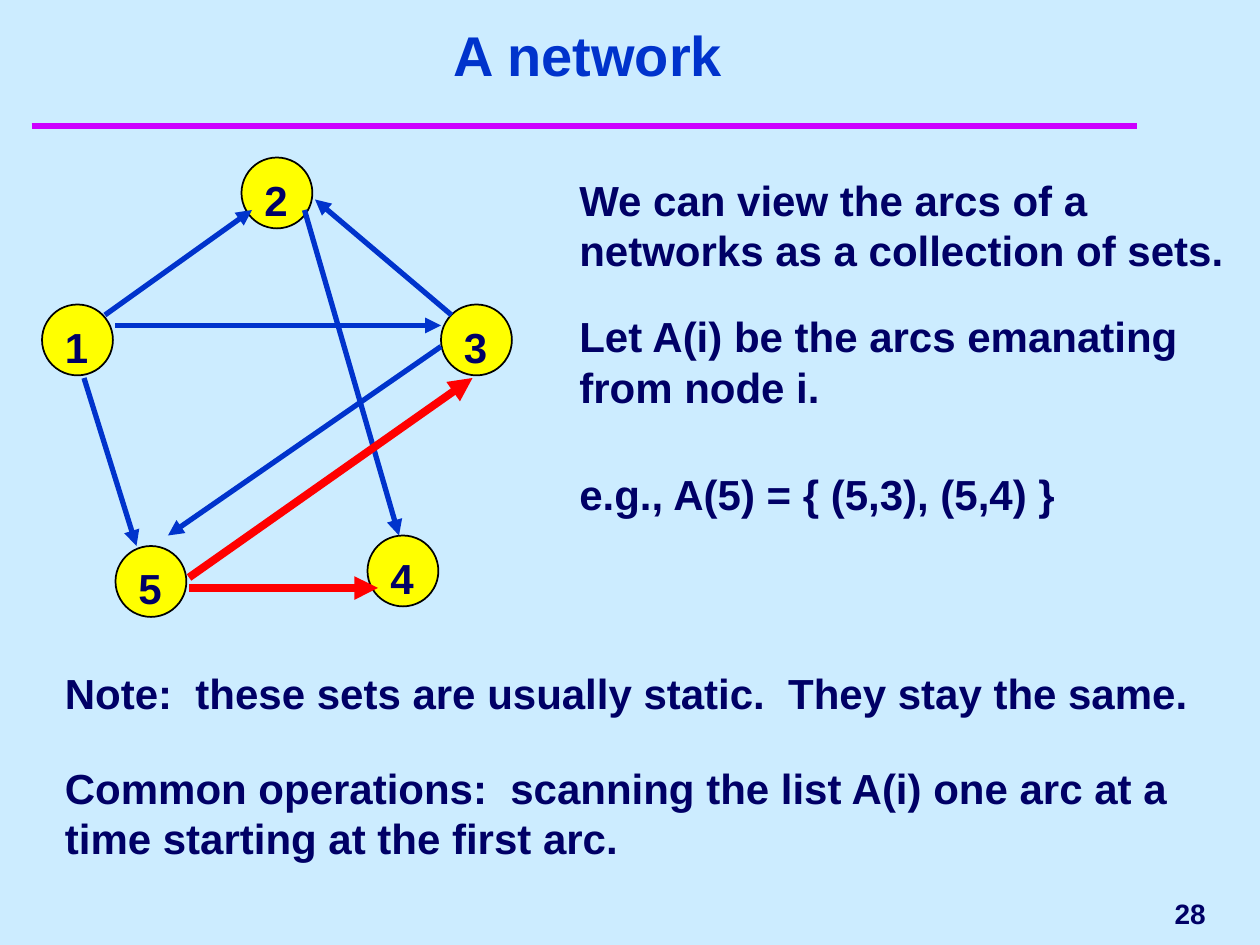
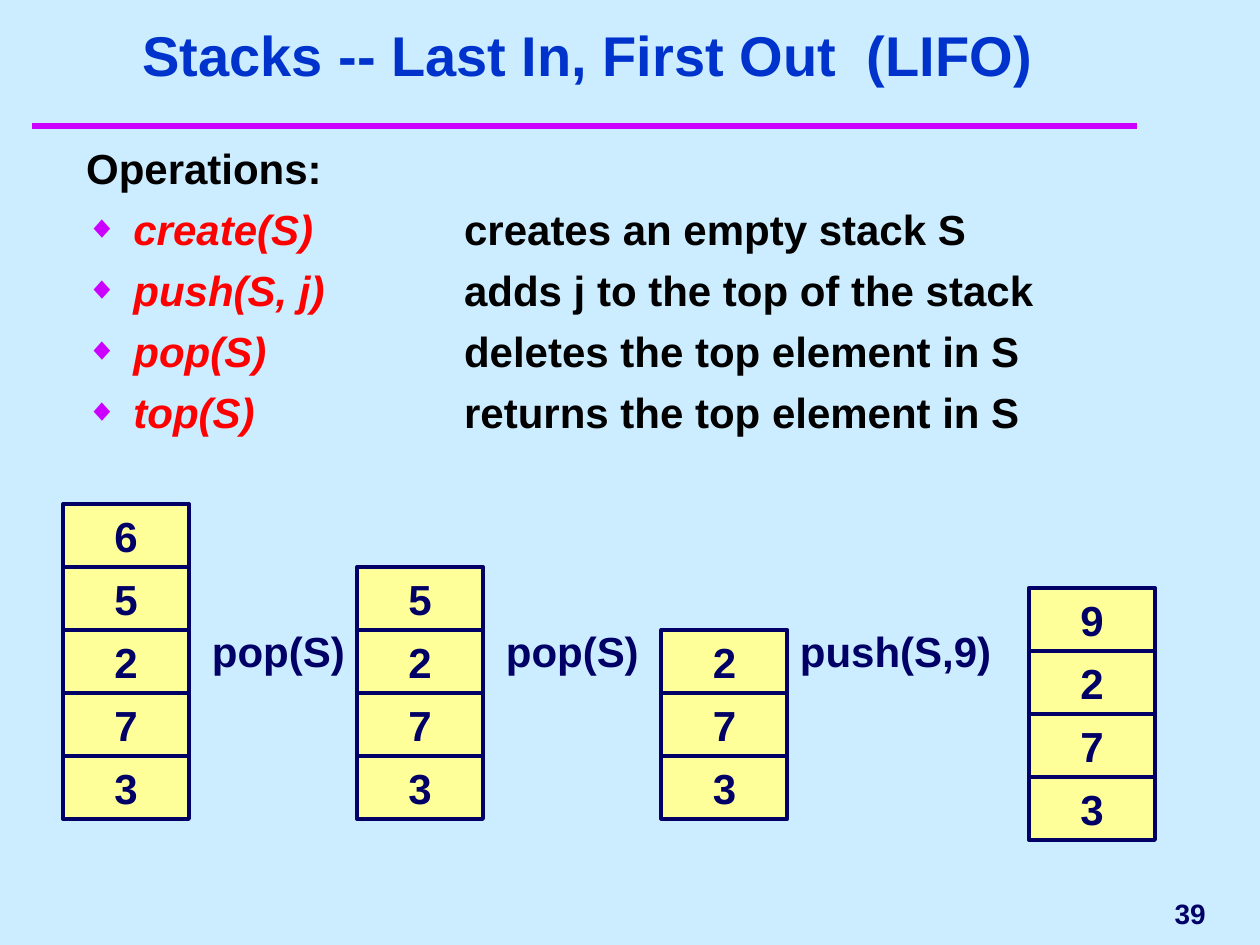
from lxml import etree
from pptx import Presentation
from pptx.dml.color import RGBColor
from pptx.enum.shapes import MSO_CONNECTOR, MSO_SHAPE
from pptx.enum.text import MSO_ANCHOR, MSO_AUTO_SIZE, PP_ALIGN
from pptx.oxml.ns import qn
from pptx.util import Pt

STRAIGHT = MSO_CONNECTOR.STRAIGHT
OVAL, RECT = MSO_SHAPE.OVAL, MSO_SHAPE.RECTANGLE
TOP, MIDDLE, BOTTOM = MSO_ANCHOR.TOP, MSO_ANCHOR.MIDDLE, MSO_ANCHOR.BOTTOM
LEFT, CENTER, RIGHT = PP_ALIGN.LEFT, PP_ALIGN.CENTER, PP_ALIGN.RIGHT
NO_AUTOFIT = MSO_AUTO_SIZE.NONE

SKY = RGBColor(0xCC, 0xEC, 0xFF)
NAVY = RGBColor(0x00, 0x00, 0x66)
BLUE = RGBColor(0x00, 0x33, 0xCC)
MAGENTA = RGBColor(0xCC, 0x00, 0xFF)
RED = RGBColor(0xFF, 0x00, 0x00)
YELLOW = RGBColor(0xFF, 0xFF, 0x00)
CREAM = RGBColor(0xFF, 0xFF, 0x99)
BLACK = RGBColor(0x00, 0x00, 0x00)


def add_run(p, text, color=NAVY, size=24, italic=False):
    r = p.add_run()
    r.text = text
    r.font.name = "Arial"
    r.font.size = Pt(size)
    r.font.bold = True
    r.font.italic = italic
    r.font.color.rgb = color


def add_line(s, start, end, color, width, arrow=True):
    line = s.shapes.add_connector(STRAIGHT, *map(Pt, start + end))
    line.line.color.rgb = color
    line.line.width = Pt(width)
    if arrow:
        etree.SubElement(line.line._get_or_add_ln(), qn("a:tailEnd"), type="triangle")
    etree.SubElement(line._element.spPr, qn("a:effectLst"))


prs = Presentation()
prs.slide_width, prs.slide_height = Pt(720), Pt(540)
fill = prs.slide_master.background.fill
fill.solid()
fill.fore_color.rgb = SKY

slides = []
for layout, title, number in [
    (5, "A network", "28"),
    (1, "Stacks -- Last In, First Out  (LIFO)", "39"),
]:
    s = prs.slides.add_slide(prs.slide_layouts[layout])
    slides.append(s)
    add_line(s, (18, 72), (650, 72), MAGENTA, 4, arrow=False)

    sp = s.shapes.title
    sp.left, sp.top, sp.width, sp.height = Pt(30), Pt(24), Pt(612), Pt(30)
    tf = sp.text_frame
    tf.auto_size = NO_AUTOFIT
    tf.vertical_anchor = BOTTOM
    p = tf.paragraphs[0]
    p.alignment = CENTER
    add_run(p, title, BLUE, 32)

    tf = s.shapes.add_textbox(Pt(558), Pt(504), Pt(138), Pt(36)).text_frame
    tf.word_wrap = True
    tf.vertical_anchor = MIDDLE
    p = tf.paragraphs[0]
    p.alignment = RIGHT
    add_run(p, number, size=16)

network, stacks = slides

nodes = [(24, 174), (138, 90), (252, 174), (210, 306), (66, 312)]
for label, (x, y) in enumerate(nodes, start=1):
    sp = network.shapes.add_shape(OVAL, Pt(x), Pt(y), Pt(40.5), Pt(40.5))
    sp.shadow.inherit = False
    sp.fill.solid()
    sp.fill.fore_color.rgb = YELLOW
    sp.line.color.rgb = BLACK
    sp.line.width = Pt(1)
    tf = sp.text_frame
    tf.vertical_anchor = TOP
    p = tf.paragraphs[0]
    p.alignment = LEFT
    add_run(p, str(label))

for start, end in [
    ((60, 180), (144, 120)),
    ((174, 120), (228, 306)),
    ((66, 186), (252, 186)),
    ((48, 216), (78, 312)),
    ((258, 180), (180, 114)),
    ((252, 198), (96, 306)),
]:
    add_line(network, start, end, BLUE, 3)
for start, end in [((108, 330), (270, 216)), ((108, 336), (216, 336))]:
    add_line(network, start, end, RED, 4.5)

sp = stacks.placeholders[1]
sp.left, sp.top, sp.width, sp.height = Pt(42), Pt(78), Pt(608), Pt(198)
tf = sp.text_frame
tf.auto_size = NO_AUTOFIT
p = tf.paragraphs[0]
p.space_before = Pt(0)
pPr = p._p.get_or_add_pPr()
pPr.set("marL", "0")
pPr.set("indent", "0")
etree.SubElement(pPr, qn("a:buNone"))
add_run(p, "Operations:", BLACK)

for operation, effect in [
    ("create(S)", "creates an empty stack S"),
    ("push(S, j)", "adds j to the top of the stack"),
    ("pop(S)", "deletes the top element in S"),
    ("top(S)", "returns the top element in S"),
]:
    p = tf.add_paragraph()
    p.space_before = Pt(6)
    pPr = p._p.get_or_add_pPr()
    pPr.set("marL", str(Pt(27)))
    pPr.set("indent", str(Pt(-27)))
    bullet_color = etree.SubElement(pPr, qn("a:buClr"))
    etree.SubElement(bullet_color, qn("a:srgbClr"), val=str(MAGENTA))
    etree.SubElement(pPr, qn("a:buSzPct"), val="75000")
    etree.SubElement(pPr, qn("a:buFont"), typeface="Arial")
    etree.SubElement(pPr, qn("a:buChar"), char="◆")
    tabs = etree.SubElement(pPr, qn("a:tabLst"))
    for stop in (72, 144, 216):
        etree.SubElement(tabs, qn("a:tab"), pos=str(Pt(stop)), algn="l")
    add_run(p, operation + "\t\t", RED, italic=True)
    add_run(p, effect, BLACK)

for x, bottom, values in [
    (36, 468, "37256"),
    (204, 468, "3725"),
    (378, 468, "372"),
    (588, 480, "3729"),
]:
    for level, value in enumerate(values, start=1):
        sp = stacks.shapes.add_shape(RECT, Pt(x), Pt(bottom - 36 * level), Pt(72), Pt(36))
        sp.shadow.inherit = False
        sp.fill.solid()
        sp.fill.fore_color.rgb = CREAM
        sp.line.color.rgb = NAVY
        sp.line.width = Pt(2.25)
        tf = sp.text_frame
        tf.vertical_anchor = MIDDLE
        p = tf.paragraphs[0]
        p.alignment = CENTER
        add_run(p, value)

for s, x, y, width, height, text in [
    (network, 324, 96, 396, 65, "We can view the arcs of a networks as a collection of sets."),
    (network, 324, 174, 396, 65, "Let A(i) be the arcs emanating from node i."),
    (network, 324, 264, 396, 36, "e.g., A(5) = { (5,3), (5,4) }"),
    (network, 30, 378, 660, 36, "Note:  these sets are usually static.  They stay the same."),
    (network, 30, 432, 660, 65,
     "Common operations:  scanning the list A(i) one arc at a time starting at the first arc."),
    (stacks, 114, 354, 96, 36, "pop(S)"),
    (stacks, 282, 354, 96, 36, "pop(S)"),
    (stacks, 450, 354, 132, 36, "push(S,9)"),
]:
    tf = s.shapes.add_textbox(Pt(x), Pt(y), Pt(width), Pt(height)).text_frame
    tf.word_wrap = True
    add_run(tf.paragraphs[0], text)

prs.save("out.pptx")
